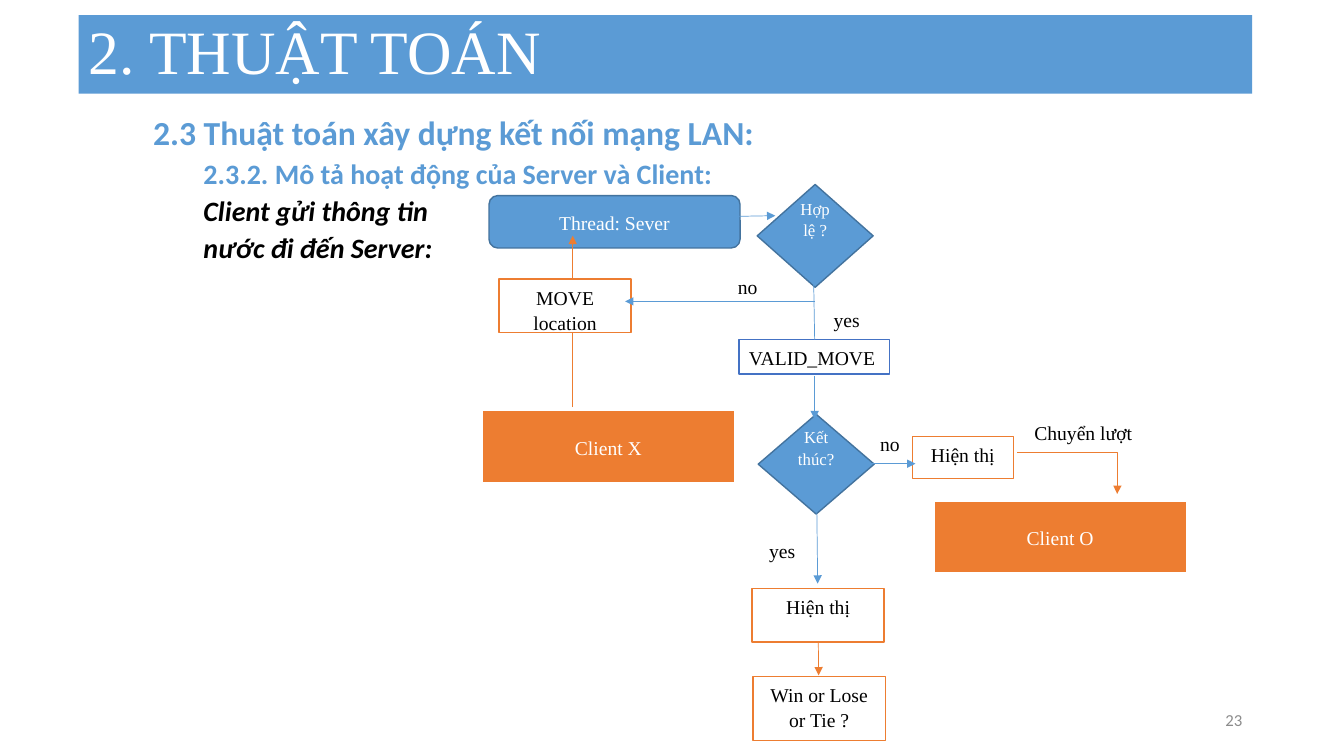
from lxml.etree import SubElement
from pptx import Presentation
from pptx.dml.color import RGBColor
from pptx.enum.shapes import MSO_CONNECTOR, MSO_SHAPE
from pptx.enum.text import MSO_ANCHOR, PP_ALIGN
from pptx.oxml.ns import qn
from pptx.util import Emu, Pt

PX = 9144  # 100 px to the inch
COLORS = {
    "blue": "5B9BD5", "edge": "43739E", "indigo": "4472C4", "orange": "ED7D31",
    "white": "FFFFFF", "black": "000000", "gray": "8C8C8C",
}
SERIF, SANS = "Times New Roman", "Calibri"


def px(*lengths):
    return [Emu(length * PX) for length in lengths]


def rgb(name):
    return RGBColor.from_string(COLORS[name])


class Flowchart:
    def __init__(self, slide):
        self.shapes = slide.shapes
        self.spacing = {"line_spacing": 1.07, "space_after": Pt(8)}

    def add_run(self, p, text, color, size=14, font=SERIF, spacing=None, **formats):
        for name, value in (self.spacing if spacing is None else spacing).items():
            setattr(p, name, value)
        r = p.add_run()
        r.text = text
        r.font.color.rgb = rgb(color)
        for name, value in {"name": font, "size": Pt(size), **formats}.items():
            setattr(r.font, name, value)

    def box(self, at, text, fill="white", line=None, width=1, color="black",
            kind=MSO_SHAPE.RECTANGLE, align=PP_ALIGN.CENTER,
            anchor=MSO_ANCHOR.TOP, wrap=True, **style):
        s = self.shapes.add_shape(kind, *px(*at))
        s.shadow.inherit = False
        s.fill.solid()
        s.fill.fore_color.rgb = rgb(fill)
        if line:
            s.line.color.rgb = rgb(line)
            s.line.width = Pt(width)
        else:
            s.line.fill.background()
        tf = s.text_frame
        tf.word_wrap, tf.vertical_anchor = wrap, anchor
        p = tf.paragraphs[0]
        p.alignment = align
        self.add_run(p, text, color, **style)
        return s

    def filled(self, at, text, **style):
        return self.box(at, text, color="white", anchor=MSO_ANCHOR.MIDDLE, **style)

    def decision(self, at, text):
        """Diamond whose text sits above its middle."""
        s = self.filled(at, text, fill="blue", line="edge", size=12,
                        kind=MSO_SHAPE.FLOWCHART_DECISION)
        s.text_frame.margin_bottom = px(39)[0]

    def label(self, at, text):
        self.box(at, text, align=PP_ALIGN.LEFT, wrap=False)

    def text(self, at, lines, anchor=MSO_ANCHOR.TOP, align=PP_ALIGN.LEFT):
        """Text box; each line is (text, indent, formats)."""
        tf = self.shapes.add_textbox(*px(*at)).text_frame
        tf.word_wrap, tf.vertical_anchor = True, anchor
        for i, (text, indent, formats) in enumerate(lines):
            p = tf.add_paragraph() if i else tf.paragraphs[0]
            p.alignment = align
            if indent:
                p._p.get_or_add_pPr().set("marL", str(indent * PX))
            spacing = {"line_spacing": 0.9, "space_before": Pt(5 if i else 0)}
            self.add_run(p, text, font=SANS, spacing=spacing, **formats)

    def connector(self, ends, color, arrow=True, bend=None):
        """Line or arrow; bend is where an elbow turns, in 1/100000 of its width."""
        kind = MSO_CONNECTOR.ELBOW if bend else MSO_CONNECTOR.STRAIGHT
        s = self.shapes.add_connector(kind, *px(*ends))
        s.line.color.rgb = rgb(color)
        s.line.width = Pt(0.5)
        spPr = s._element.spPr
        if arrow:
            SubElement(spPr.find(qn("a:ln")), qn("a:tailEnd"), type="triangle")
        if bend:
            guides = spPr.find(qn("a:prstGeom")).find(qn("a:avLst"))
            SubElement(guides, qn("a:gd"), name="adj1", fmla=f"val {bend}")
        SubElement(spPr, qn("a:effectLst"))


def main():
    prs = Presentation()
    prs.slide_width, prs.slide_height = px(1333, 750)
    chart = Flowchart(prs.slides.add_slide(prs.slide_layouts[6]))

    chart.filled((78, 15, 1164, 78), "2. THUẬT TOÁN", fill="blue", size=44,
                 align=PP_ALIGN.LEFT, spacing={"line_spacing": 0.9})
    note = {"color": "black", "size": 20, "bold": True, "italic": True}
    chart.text((92, 111, 1150, 564), [
        ("2.3 Thuật toán xây dựng kết nối mạng LAN:", 50,
         {"color": "blue", "size": 24, "bold": True}),
        ("2.3.2. Mô tả hoạt động của Server và Client:", 100,
         {"color": "blue", "size": 20, "bold": True}),
        ("Client gửi thông tin", 100, note),
        ("nước đi đến Server:", 100, note),
    ])
    chart.text((942, 695, 300, 40), [("23", 0, {"color": "gray", "size": 12})],
               anchor=MSO_ANCHOR.MIDDLE, align=PP_ALIGN.RIGHT)

    chart.decision((751, 183, 115, 102), "Hợp lệ ?")
    chart.decision((752, 411, 115, 99), "Kết thúc?")
    chart.filled((485, 194, 249, 52), "Thread: Sever", fill="blue", line="edge",
                 kind=MSO_SHAPE.ROUNDED_RECTANGLE)
    for left, top, client in ((478, 407, "Client X"), (926, 497, "Client O")):
        chart.filled((left, top, 251, 72), client, fill="orange", line="white", width=1.5)

    for ends in ((811, 586, 812, 670), (568, 404, 568, 234)):
        chart.connector(ends, "orange")

    for at, text in (
        ((495, 277, 131, 53), "MOVE location"),
        ((905, 433, 100, 42), "Hiện thị"),
        ((746, 584, 131, 53), "Hiện thị"),
        ((747, 671, 131, 64), "Win or Lose or Tie ?"),
    ):
        chart.box(at, text, line="orange")
    chart.box((733, 337, 149, 34), "VALID_MOVE", line="indigo", align=PP_ALIGN.LEFT)

    for left, top, width, text in (
        (722, 266, 39, "no"), (863, 422, 39, "no"),
        (817, 299, 45, "yes"), (753, 528, 45, "yes"),
        (1016, 411, 114, "Chuyển lượt"),
    ):
        chart.label((left, top, width, 29), text)

    for ends in (
        (710, 215, 769, 214), (808, 299, 620, 299), (810, 494, 811, 579),
        (840, 460, 908, 460), (808, 373, 808, 416),
    ):
        chart.connector(ends, "blue")
    chart.connector((807, 277, 808, 337), "blue", arrow=False)
    chart.connector((1009, 449, 1108, 490), "orange", bend=100200)

    prs.save("out.pptx")


if __name__ == "__main__":
    main()
